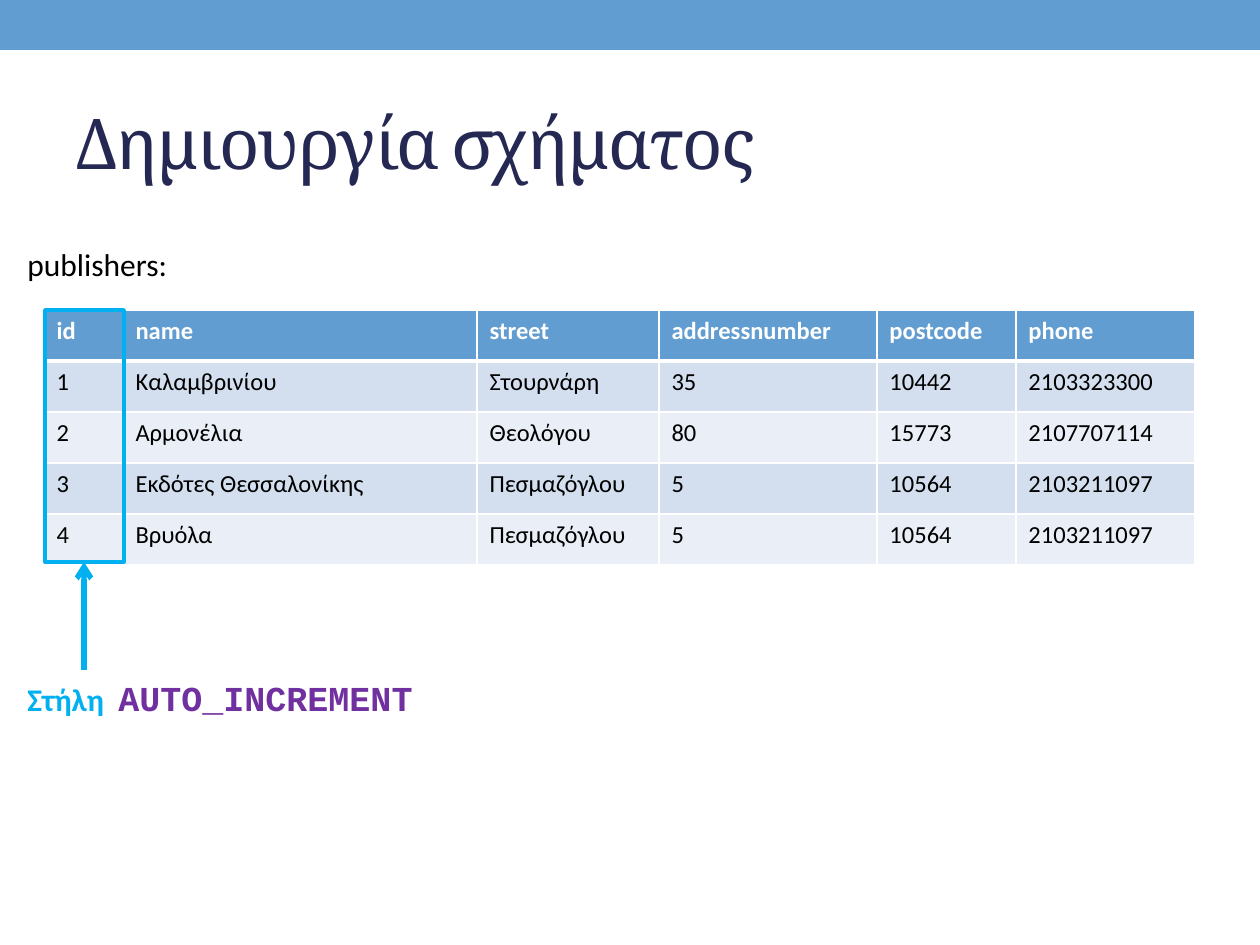
import pptx
import pptx.dml.color
import pptx.enum.shapes
import pptx.enum.text
import pptx.oxml
import pptx.oxml.ns
import pptx.util

SCALE = 914400 / 126
COLORS = {
    "white": "FFFFFF", "black": "000000", "navy": "242852", "blue": "629DD1",
    "odd": "D3DFEE", "even": "EAEFF7", "cyan": "00B0F0", "purple": "7030A0",
}
COLUMN_WIDTHS = [79, 354, 182, 218, 139, 179]
ROW_HEIGHT = 51
PUBLISHERS = [
    ["id", "name", "street", "addressnumber", "postcode", "phone"],
    ["1", "Καλαμβρινίου", "Στουρνάρη", "35", "10442", "2103323300"],
    ["2", "Αρμονέλια", "Θεολόγου", "80", "15773", "2107707114"],
    ["3", "Εκδότες Θεσσαλονίκης", "Πεσμαζόγλου", "5", "10564", "2103211097"],
    ["4", "Βρυόλα", "Πεσμαζόγλου", "5", "10564", "2103211097"],
]


def px(length):
    """Turn pixels into EMU."""
    return pptx.util.Emu(round(length * SCALE))


def rgb(color):
    """Look up a named colour."""
    return pptx.dml.color.RGBColor.from_string(COLORS[color])


def add_span(para, text, color, spacing=0, **formats):
    """Append a formatted run to a paragraph."""
    span = para.add_run()
    span.text = text
    span.font.color.rgb = rgb(color)
    for name, value in formats.items():
        setattr(span.font, name, value)
    if spacing:
        span.font._element.set("spc", str(spacing))


def add_text(page, bounds, spans, anchor="TOP"):
    """Add a wrapping text box holding one paragraph."""
    box = page.shapes.add_textbox(*map(px, bounds))
    frame = box.text_frame
    frame.word_wrap = True
    frame.vertical_anchor = pptx.enum.text.MSO_ANCHOR[anchor]
    for span in spans:
        add_span(frame.paragraphs[0], **span)


def add_rectangle(page, bounds, fill=None, line=None):
    """Add a rectangle with an optional fill and outline."""
    box = page.shapes.add_shape(
        pptx.enum.shapes.MSO_SHAPE.RECTANGLE, *map(px, bounds))
    box.shadow.inherit = False
    if fill:
        box.fill.solid()
        box.fill.fore_color.rgb = rgb(fill)
    else:
        box.fill.background()
    if line:
        box.line.color.rgb = rgb(line)
        box.line.width = pptx.util.Pt(2)
    else:
        box.line.fill.background()


def add_arrow(page, start, end, color):
    """Add a straight arrow with an open head at its end."""
    arrow = page.shapes.add_connector(
        pptx.enum.shapes.MSO_CONNECTOR.STRAIGHT, *map(px, start + end))
    arrow.line.color.rgb = rgb(color)
    arrow.line.width = pptx.util.Pt(3)
    head = pptx.oxml.parse_xml(
        f'<a:tailEnd {pptx.oxml.ns.nsdecls("a")} type="arrow"/>')
    arrow.line._get_or_add_ln().append(head)
    effects = pptx.oxml.parse_xml(f'<a:effectLst {pptx.oxml.ns.nsdecls("a")}/>')
    arrow._element.spPr.append(effects)


def add_borders(cell, widths):
    """Draw white cell borders of the given point widths by side."""
    properties = cell._tc.get_or_add_tcPr()
    for index, (side, width) in enumerate(widths.items()):
        border = pptx.oxml.parse_xml(
            f'<a:ln{side} {pptx.oxml.ns.nsdecls("a")} w="{pptx.util.Pt(width)}">'
            f'<a:solidFill><a:srgbClr val="{COLORS["white"]}"/></a:solidFill>'
            f'</a:ln{side}>')
        properties.insert(index, border)


def add_publishers(page, left, top):
    """Add the table of publishers."""
    size = (sum(COLUMN_WIDTHS), ROW_HEIGHT * len(PUBLISHERS))
    table = page.shapes.add_table(
        len(PUBLISHERS), len(COLUMN_WIDTHS), *map(px, (left, top) + size)).table
    for column, width in zip(table.columns, COLUMN_WIDTHS):
        column.width = px(width)
    for index, (row, values) in enumerate(zip(table.rows, PUBLISHERS)):
        row.height = px(ROW_HEIGHT)
        header = index == 0
        fill = "blue" if header else ("even", "odd")[index % 2]
        widths = {"L": 1, "R": 1, "T": 3 if index == 1 else 1, "B": 3 if header else 1}
        for cell, value in zip(row.cells, values):
            cell.fill.solid()
            cell.fill.fore_color.rgb = rgb(fill)
            add_borders(cell, widths)
            add_span(cell.text_frame.paragraphs[0], value,
                     "white" if header else "black",
                     name="Calibri", size=pptx.util.Pt(14), bold=header)


def main():
    """Build the slide and save it."""
    deck = pptx.Presentation()
    deck.slide_width, deck.slide_height = px(1260), px(945)
    page = deck.slides.add_slide(deck.slide_layouts[6])
    body = {"name": "Calibri", "size": pptx.util.Pt(18)}
    label = {**body, "color": "cyan", "bold": True}
    add_rectangle(page, (0, 0, 1260, 50), fill="blue")
    add_text(page, (63, 73, 1134, 136), [
        {"text": "Δημιουργία σχήματος", "color": "navy", "spacing": -100,
         "name": "Cambria", "size": pptx.util.Pt(40)}], "MIDDLE")
    add_publishers(page, 44, 310)
    add_text(page, (15, 239, 486, 50),
             [{"text": "publishers:", "color": "black", **body}])
    add_rectangle(page, (45, 310, 79, 252), line="cyan")
    add_arrow(page, (84, 670), (84, 562), "cyan")
    add_text(page, (15, 670, 551, 55), [
        {"text": "Στήλη", **label},
        {"text": " ", "spacing": 400, **label},
        {"text": "AUTO_INCREMENT", "color": "purple", "name": "Courier New",
         "size": pptx.util.Pt(20), "bold": True}])
    deck.save("out.pptx")


if __name__ == "__main__":
    main()
